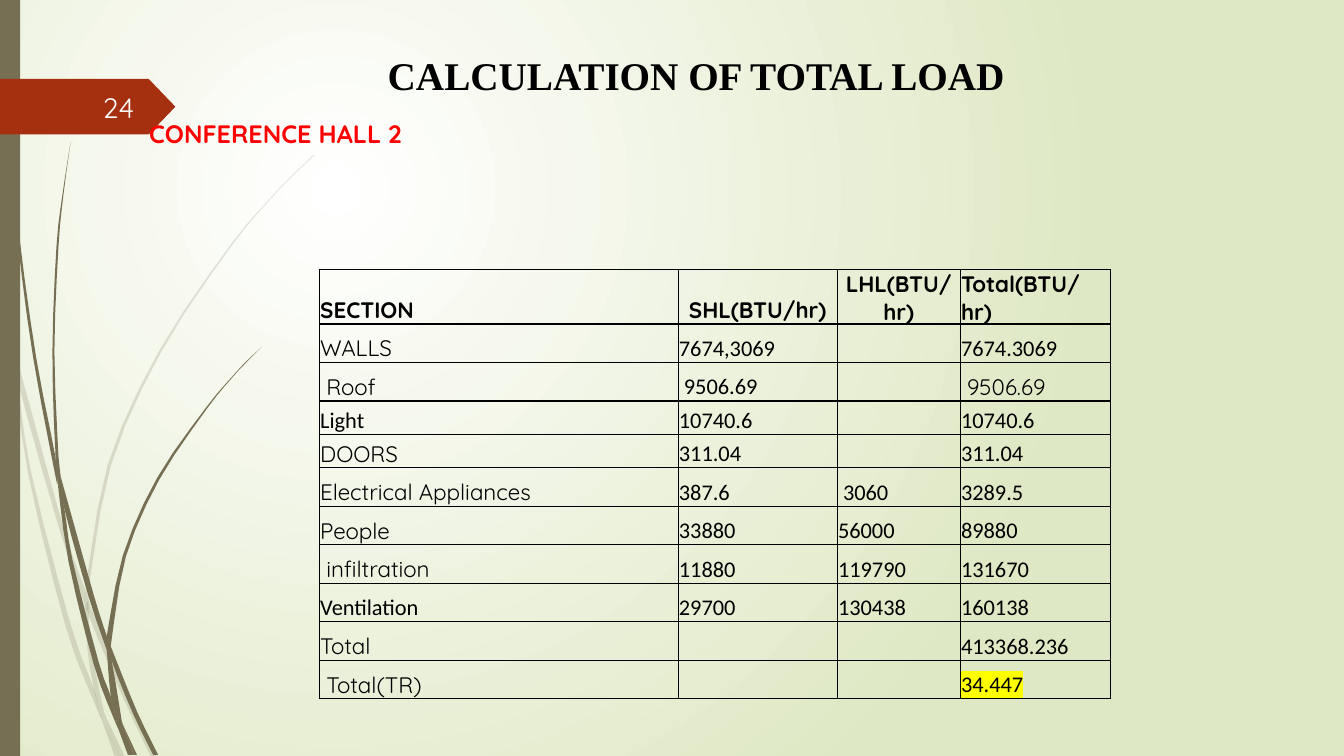
"""Build the total load calculation slide for conference hall 2."""
import dataclasses

import pptx
import pptx.dml.color
import pptx.enum.shapes
import pptx.enum.text
import pptx.oxml.ns
import pptx.util
from lxml import etree

Cm, Pt, qn = pptx.util.Cm, pptx.util.Pt, pptx.oxml.ns.qn
SHAPES = pptx.enum.shapes.MSO_SHAPE
ALIGN = pptx.enum.text.PP_ALIGN
ANCHOR = pptx.enum.text.MSO_ANCHOR


@dataclasses.dataclass(frozen=True)
class Theme:
    glow: str = "FFFFFF"
    backdrop: str = "DFE8C4"
    stem: str = "766F54"
    tab: str = "A53010"
    ink: str = "000000"
    accent: str = "FF0000"
    page: str = "FEFFFF"
    highlight: str = "FFFF00"
    title_font: str = "Times New Roman"
    label_font: str = "Quicksand"
    number_font: str = "Calibri"
    title_size: int = 28
    hall_size: int = 18
    page_size: int = 20
    table_size: int = 16


THEME = Theme()
BLADE_UNIT = Cm(2.54) / 100
CURVE_STEPS = 3
PALE_BLADES = [
    [[(11, 350), (9, 322), (0, 282)], [(0, 299), (10, 344), (11, 350)]],
    [[(14, 345), (17, 376), (58, 522), (84, 599)], [(85, 586), (62, 520), (14, 345)]],
    [[(88, 596), (88, 610), (123, 694), (150, 751)], [(155, 751), (127, 692), (92, 607), (88, 596)]],
    [[(119, 751), (124, 751)], [(105, 711), (119, 751)]],
    [[(11, 350), (28, 470), (65, 621), (92, 693), (101, 714)],
     [(99, 707), (93, 683), (70, 619), (31, 469), (17, 376), (11, 350)]],
    [[(84, 599), (87, 646), (93, 683), (96, 692), (105, 711)],
     [(103, 706), (91, 646), (88, 610), (88, 608), (84, 599)]],
    [[(312, 153), (289, 175), (268, 197), (228, 244), (158, 348), (107, 461), (85, 584)], [(88, 596)],
     [(88, 584), (110, 462), (160, 349), (229, 245), (268, 198), (290, 175), (312, 154)]],
    [[(101, 714), (114, 751)], [(119, 751), (101, 714)]],
    [[(88, 608), (88, 610), (88, 596)], [(85, 586), (84, 599), (88, 608)]],
    [[(93, 683), (99, 707), (101, 714), (119, 751)], [(105, 711), (96, 692), (93, 683)]],
]
DARK_BLADES = [
    [[(3, 0), (4, 48), (7, 110), (17, 233), (33, 355), (56, 477)],
     [(57, 481), (55, 453), (36, 355), (19, 232), (8, 109), (5, 48), (4, 0)]],
    [[(60, 472), (64, 505), (88, 592), (106, 645)], [(106, 631), (93, 590), (60, 472)]],
    [[(110, 641), (111, 656), (132, 708), (152, 749)], [(157, 749), (136, 706), (113, 649), (110, 641)]],
    [[(57, 477), (68, 557), (93, 659), (111, 708), (117, 722)],
     [(116, 717), (110, 691), (98, 657), (72, 556), (64, 505), (57, 477)]],
    [[(70, 141), (62, 193), (56, 245), (52, 349), (55, 449), (60, 472)],
     [(58, 453), (54, 349), (58, 245), (63, 193), (70, 141)]],
    [[(133, 749), (136, 749)], [(122, 719), (133, 749)]],
    [[(57, 477), (64, 505)], [(60, 472), (55, 449), (57, 477)]],
    [[(260, 344), (245, 358), (231, 373), (204, 405), (156, 474), (122, 551), (106, 631)], [(110, 641)],
     [(111, 633), (125, 552), (158, 476), (205, 406), (231, 374), (245, 359), (260, 344)]],
    [[(117, 722), (127, 749)], [(131, 749), (117, 722)]],
    [[(106, 645), (110, 691), (116, 706), (122, 719)], [(121, 716), (111, 656), (106, 645)]],
    [[(106, 645), (111, 656)], [(110, 641), (106, 631), (106, 645)]],
    [[(110, 691), (116, 717), (117, 722), (130, 749)], [(133, 749), (122, 719), (116, 706), (110, 691)]],
]

COLUMN_WIDTHS = [9.04, 4.01, 3.1, 3.78]
SHORT_ROW, TALL_ROW = 0.84, 0.97
SHORT_ROWS = {0, 3, 4}
LOADS = [
    ("SECTION", "SHL(BTU/hr)", "LHL(BTU/hr)", "Total(BTU/hr)"),
    ("WALLS", "7674,3069", "", "7674.3069"),
    ("\u00a0Roof", " 9506.69", "", "\u00a09506.69"),
    ("Light", "10740.6", "", "10740.6"),
    ("DOORS", "311.04", "", "311.04"),
    ("Electrical Appliances", "387.6", " 3060", "3289.5"),
    ("People", "33880", "56000", "89880"),
    (" infiltration", "11880", "119790", "131670"),
    ("Ventilation", "29700", "130438", "160138"),
    ("Total", "", "", "413368.236"),
    ("\u00a0Total(TR)", "", "", "34.447"),
]
CALIBRI_LABELS = {"Light", "Ventilation"}
QUICKSAND_NUMBERS = {"\u00a09506.69"}


def rgb(colour):
    return pptx.dml.color.RGBColor.from_string(colour)


def write(frame, text, font, size, colour, bold=False, align=ALIGN.LEFT):
    frame.text = text
    paragraph = frame.paragraphs[0]
    paragraph.alignment = align
    for run in paragraph.runs:
        run.font.name, run.font.size, run.font.bold = font, Pt(size), bold
        run.font.color.rgb = rgb(colour)
    return paragraph


def paint(shape, colour, opacity=100):
    shape.shadow.inherit = False
    shape.fill.solid()
    shape.fill.fore_color.rgb = rgb(colour)
    shape.line.fill.background()
    if opacity < 100:
        tint = shape.element.find(".//" + qn("a:srgbClr"))
        etree.SubElement(tint, qn("a:alpha"), val=str(opacity * 1000))


def paint_background(slide):
    fill = slide.background.fill
    fill.gradient()
    for stop, colour in zip(fill.gradient_stops, (THEME.glow, THEME.backdrop)):
        stop.color.rgb = rgb(colour)
    gradient = slide.element.find(".//" + qn("a:gradFill"))
    gradient.remove(gradient.find(qn("a:lin")))
    glow = etree.SubElement(gradient, qn("a:path"), path="circle")
    etree.SubElement(glow, qn("a:fillToRect"), l="50000", t="50000", r="100000", b="100000")


def smooth_edge(anchors):
    padded = [anchors[0], *anchors, anchors[-1]]
    points = []
    for a, b, c, d in zip(padded, padded[1:], padded[2:], padded[3:]):
        for t in (step / CURVE_STEPS for step in range(CURVE_STEPS)):
            points.append([q + t * (r - p) / 2 + t * t * (2 * p - 5 * q + 4 * r - s) / 2
                           + t ** 3 * (3 * q - p - 3 * r + s) / 2
                           for p, q, r, s in zip(a, b, c, d)])
    return [(x * BLADE_UNIT, y * BLADE_UNIT) for x, y in [*points, anchors[-1]]]


def add_blade(slide, edges, opacity):
    outline = [point for edge in edges for point in smooth_edge(edge)]
    builder = slide.shapes.build_freeform(*outline[0], scale=1.0)
    builder.add_line_segments(outline[1:], close=True)
    paint(builder.convert_to_shape(), THEME.stem, opacity)


def add_preset(slide, preset, box, colour):
    shape = slide.shapes.add_shape(preset, *map(Cm, box))
    paint(shape, colour)
    return shape


def add_label(slide, box, text, size, colour, **style):
    frame = slide.shapes.add_textbox(*map(Cm, box)).text_frame
    frame.word_wrap = True
    frame.vertical_anchor = ANCHOR.MIDDLE
    write(frame, text, THEME.label_font, size, colour, **style)


def set_title(slide, text):
    title = slide.shapes.title
    title.left, title.top, title.width, title.height = map(Cm, (3.2, 0.48, 28.68, 2.97))
    title.text_frame.vertical_anchor = ANCHOR.MIDDLE
    write(title.text_frame, text, THEME.title_font, THEME.title_size, THEME.ink,
          bold=True, align=ALIGN.CENTER).line_spacing = 0.9


def fill_cell(cell, text, row, column):
    cell.fill.background()
    cell.vertical_anchor = ANCHOR.BOTTOM
    cell.margin_left = cell.margin_right = cell.margin_top = Cm(0.02)
    cell.margin_bottom = 0
    header = row == 0
    labelled = header or text in QUICKSAND_NUMBERS or (column == 0 and text not in CALIBRI_LABELS)
    write(cell.text_frame, text, THEME.label_font if labelled else THEME.number_font,
          THEME.table_size, THEME.ink, bold=header,
          align=ALIGN.CENTER if header and column in (1, 2) else ALIGN.LEFT)


def add_borders(frame):
    for properties in frame.element.iter(qn("a:tcPr")):
        for index, side in enumerate(("lnL", "lnR", "lnT", "lnB")):
            line = etree.Element(qn("a:" + side), w=str(Pt(1)))
            solid = etree.SubElement(line, qn("a:solidFill"))
            etree.SubElement(solid, qn("a:srgbClr"), val=THEME.ink)
            properties.insert(index, line)


def add_load_table(slide):
    heights = [SHORT_ROW if row in SHORT_ROWS else TALL_ROW for row in range(len(LOADS))]
    frame = slide.shapes.add_table(len(LOADS), len(COLUMN_WIDTHS), Cm(8.05), Cm(6.79),
                                   Cm(sum(COLUMN_WIDTHS)), Cm(sum(heights)))
    table = frame.table
    table.first_row = table.horz_banding = False
    for column, width in zip(table.columns, COLUMN_WIDTHS):
        column.width = Cm(width)
    for row, (height, loads) in enumerate(zip(heights, LOADS)):
        table.rows[row].height = Cm(height)
        for column, text in enumerate(loads):
            fill_cell(table.cell(row, column), text, row, column)
    add_borders(frame)
    result_fill = frame.element.findall(f".//{qn('a:rPr')}/{qn('a:solidFill')}")[-1]
    marker = etree.Element(qn("a:highlight"))
    etree.SubElement(marker, qn("a:srgbClr"), val=THEME.highlight)
    result_fill.addnext(marker)


def main():
    deck = pptx.Presentation()
    deck.slide_width, deck.slide_height = Cm(33.87), Cm(19.05)
    slide = deck.slides.add_slide(deck.slide_layouts[5])
    paint_background(slide)
    for blades, opacity in ((PALE_BLADES, 20), (DARK_BLADES, 100)):
        for edges in blades:
            add_blade(slide, edges, opacity)
    add_preset(slide, SHAPES.RECTANGLE, (0, 0, 0.51, 19.05), THEME.stem)
    page_tab = add_preset(slide, SHAPES.PENTAGON, (0, 1.99, 4.42, 1.4), THEME.tab)
    page_tab.adjustments[0] = 0.48
    set_title(slide, "CALCULATION OF TOTAL LOAD")
    add_label(slide, (3.51, 2.86, 8.18, 1.02), "CONFERENCE HALL 2",
              THEME.hall_size, THEME.accent, bold=True)
    add_label(slide, (1.47, 2.2, 2.16, 1.02), "24",
              THEME.page_size, THEME.page, align=ALIGN.RIGHT)
    add_load_table(slide)
    deck.save("out.pptx")


main()
